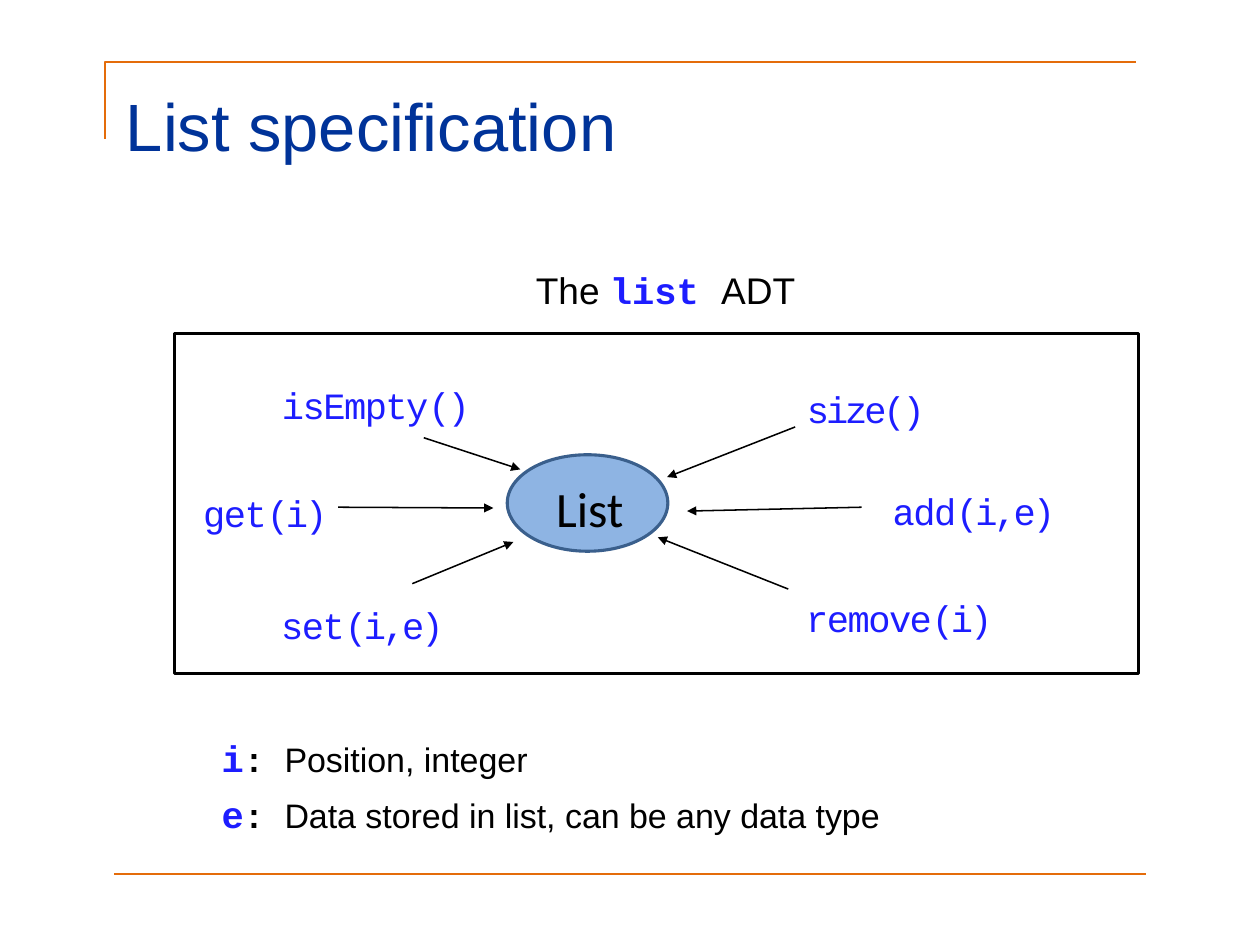
from lxml import etree
from pptx import Presentation
from pptx.dml.color import RGBColor
from pptx.enum.shapes import MSO_CONNECTOR, MSO_SHAPE
from pptx.enum.text import MSO_ANCHOR, PP_ALIGN
from pptx.oxml.ns import qn
from pptx.util import Pt

ORANGE, NAVY, BLUE, BLACK = "E46C0A", "003399", "1D1DFF", "000000"
SANS, MONO = "Arial", "Courier New"


def color(hex_code):
    return RGBColor.from_string(hex_code)


def add_run(paragraph, text, size, font, hex_code, bold=False, spacing=0):
    """Append a run; spacing is the extra space between letters in points."""
    run = paragraph.add_run()
    run.text = text
    run.font.size = Pt(size)
    run.font.name = font
    run.font.bold = bold
    run.font.color.rgb = color(hex_code)
    if spacing:
        run.font._element.set("spc", str(spacing * 100))


prs = Presentation()
prs.slide_width, prs.slide_height = Pt(816), Pt(612)
slide = prs.slides.add_slide(prs.slide_layouts[5])
shapes = slide.shapes

# Orange rules around the page
corner_builder = shapes.build_freeform(Pt(68), Pt(90))
corner_builder.add_line_segments([(Pt(68), Pt(40)), (Pt(736), Pt(40))], close=False)
corner = corner_builder.convert_to_shape()
corner.shadow.inherit = False
corner.fill.background()
footer_rule = shapes.add_connector(MSO_CONNECTOR.STRAIGHT, Pt(74), Pt(566), Pt(742), Pt(566))
etree.SubElement(footer_rule._element.spPr, qn("a:effectLst"))
for rule in (corner, footer_rule):
    rule.line.color.rgb = color(ORANGE)
    rule.line.width = Pt(1.5)

# Title, heading and legend
title = shapes.title
title.left, title.top, title.width, title.height = Pt(81.5), Pt(54.5), Pt(566), Pt(52)
heading = shapes.add_textbox(Pt(317.5), Pt(173), Pt(227), Pt(32))
legend = shapes.add_textbox(Pt(143.5), Pt(476), Pt(600), Pt(67))
for block in (title, heading, legend):
    frame = block.text_frame
    frame.word_wrap = True
    frame.vertical_anchor = MSO_ANCHOR.TOP
    frame.margin_left = frame.margin_top = frame.margin_right = frame.margin_bottom = 0

title_line = title.text_frame.paragraphs[0]
title_line.alignment = PP_ALIGN.LEFT
add_run(title_line, "List specification", 43.3, SANS, NAVY)

heading_line = heading.text_frame.paragraphs[0]
heading_line.alignment = PP_ALIGN.CENTER
add_run(heading_line, "The ", 24, SANS, BLACK)
add_run(heading_line, "list ", 24, MONO, BLUE, bold=True)
add_run(heading_line, "ADT", 24, SANS, BLACK)

position_line = legend.text_frame.paragraphs[0]
element_line = legend.text_frame.add_paragraph()
element_line.space_before = Pt(8)
for line, symbol, meaning in (
    (position_line, "i", "Position, integer"),
    (element_line, "e", "Data stored in list, can be any data type"),
):
    add_run(line, symbol, 24, MONO, BLUE, bold=True)
    add_run(line, ": ", 22, MONO, BLACK, bold=True)
    add_run(line, meaning, 22, SANS, BLACK)

# The list in the middle
list_node = shapes.add_shape(MSO_SHAPE.OVAL, Pt(328.5), Pt(294.5), Pt(104), Pt(62.5))
list_node.shadow.inherit = False
list_node.fill.solid()
list_node.fill.fore_color.rgb = color("8EB4E3")
list_node.line.color.rgb = color("3A5F8C")
list_node.line.width = Pt(2)
node_frame = list_node.text_frame
node_frame.word_wrap = False
node_frame.vertical_anchor = MSO_ANCHOR.MIDDLE
node_frame.margin_left, node_frame.margin_top = Pt(3), Pt(6)
node_frame.margin_right = node_frame.margin_bottom = 0
node_frame.paragraphs[0].alignment = PP_ALIGN.CENTER
add_run(node_frame.paragraphs[0], "List", 32, "Calibri", BLACK)

# Operations: name, its letter spacing, arguments, label corner, arrow start and end
operations = [
    ("size", -2, "()", (515.5, 247), (515, 276.5), (432, 309)),
    ("isEmpty", -1, "()", (175.5, 244), (274.5, 283.5), (337, 304)),
    ("get", -1, "(i)", (124.5, 314), (219, 328.5), (319.5, 329)),
    ("set", -1, "(i,e)", (175, 386.5), (267, 378), (332.5, 351)),
    ("add", -1, "(i,e)", (571, 312.5), (558, 328.5), (445, 331)),
    ("remove", -1, "(i)", (515, 382), (510.5, 381.5), (426, 348)),
]
for name, spacing, arguments, (left, top), start, end in operations:
    label = shapes.add_textbox(Pt(left), Pt(top), Pt(160), Pt(36))
    label.text_frame.word_wrap = True
    signature = label.text_frame.paragraphs[0]
    add_run(signature, name, 24, MONO, BLUE, spacing=spacing)
    add_run(signature, arguments, 24, MONO, BLUE, spacing=-2)

    arrow = shapes.add_connector(MSO_CONNECTOR.STRAIGHT, *map(Pt, start + end))
    arrow.line.color.rgb = color(BLACK)
    arrow.line.width = Pt(1)
    etree.SubElement(arrow.line._get_or_add_ln(), qn("a:tailEnd"), type="triangle")
    etree.SubElement(arrow._element.spPr, qn("a:effectLst"))

adt_border = shapes.add_shape(MSO_SHAPE.RECTANGLE, Pt(113), Pt(216), Pt(624.5), Pt(220))
adt_border.shadow.inherit = False
adt_border.fill.background()
adt_border.line.color.rgb = color(BLACK)
adt_border.line.width = Pt(2)

prs.save("out.pptx")
